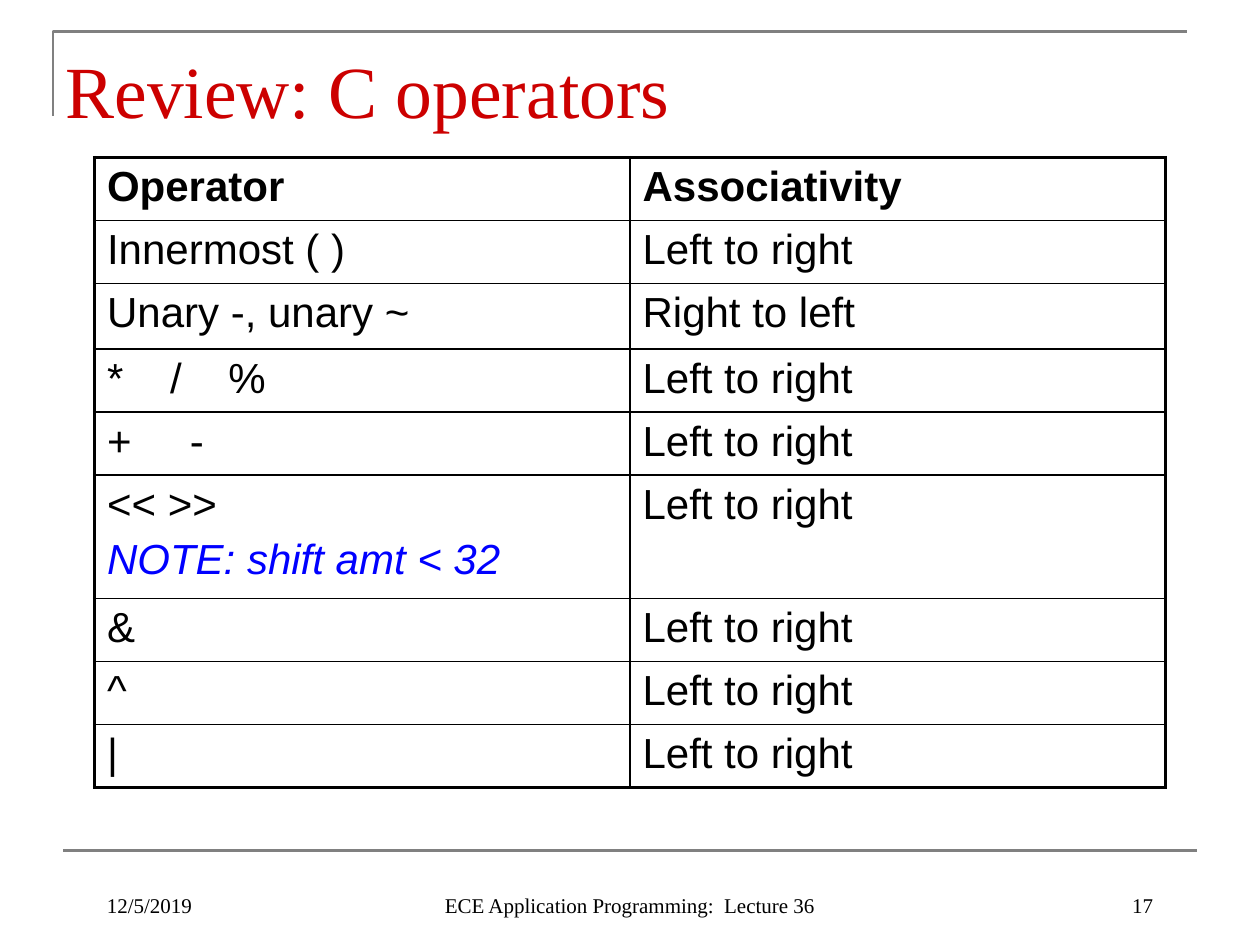
from lxml.etree import SubElement
from pptx import Presentation
from pptx.dml.color import RGBColor
from pptx.enum.shapes import MSO_CONNECTOR
from pptx.enum.text import MSO_ANCHOR, PP_ALIGN
from pptx.oxml import parse_xml
from pptx.oxml.ns import nsdecls, qn
from pptx.util import Inches, Pt

COLORS = {"title": "CC0000", "text": "000000", "note": "0000FF",
          "rule": "808080", "border": "000000"}
HEADING_FONT = "Times New Roman"
TABLE_FONT = "Arial"
OUTER_BORDER, INNER_BORDER = 2.25, 1

OPERATORS = [
    ("Operator", "Associativity"),
    ("Innermost ( )", "Left to right"),
    ("Unary -, unary ~", "Right to left"),
    ("*    /    %", "Left to right"),
    ("+     -", "Left to right"),
    ("<< >>\nNOTE: shift amt < 32", "Left to right"),
    ("&", "Left to right"),
    ("^", "Left to right"),
    ("|", "Left to right"),
]
ROW_HEIGHTS = [0.5, 0.5, 0.52, 0.5, 0.5, 0.98, 0.5, 0.5, 0.5]


def style_runs(paragraph, font_name, size, color, bold=False, italic=False):
    for run in paragraph.runs:
        font = run.font
        font.name, font.size = font_name, Pt(size)
        font.bold, font.italic = bold, italic
        font.color.rgb = RGBColor.from_string(COLORS[color])


def style_rule(rule):
    rule.line.color.rgb = RGBColor.from_string(COLORS["rule"])
    rule.line.width = Pt(1.5)


def add_header(slide, left, top, width, height):
    """Title inside a corner rule that runs down the left and along the top."""
    builder = slide.shapes.build_freeform(Inches(left), Inches(top + 0.67))
    builder.add_line_segments(
        [(Inches(left), Inches(top)), (Inches(left + width), Inches(top))],
        close=False)
    corner = builder.convert_to_shape()
    corner.fill.background()
    corner.shadow.inherit = False
    style_rule(corner)

    title = slide.shapes.title
    title.left, title.top = Inches(left), Inches(top)
    title.width, title.height = Inches(width - 0.5), Inches(height)
    title.text_frame.text = "Review: C operators"
    title.text_frame.vertical_anchor = MSO_ANCHOR.MIDDLE
    heading = title.text_frame.paragraphs[0]
    heading.alignment = PP_ALIGN.LEFT
    style_runs(heading, HEADING_FONT, 42, "title")


def set_borders(cell, widths):
    """Draw the cell borders; widths are points keyed by side L, R, T, B."""
    properties = cell._tc.get_or_add_tcPr()
    for index, (side, width) in enumerate(widths.items()):
        properties.insert(index, parse_xml(
            f'<a:ln{side} {nsdecls("a")} w="{Pt(width)}"><a:solidFill>'
            f'<a:srgbClr val="{COLORS["border"]}"/></a:solidFill></a:ln{side}>'))


def set_relative_space_before(paragraph, percent):
    spacing = SubElement(paragraph._p.get_or_add_pPr(), qn("a:spcBef"))
    SubElement(spacing, qn("a:spcPct")).set("val", str(percent * 1000))


def add_operator_table(slide, left, top, width, height):
    row_count, column_count = len(OPERATORS), len(OPERATORS[0])
    table = slide.shapes.add_table(
        row_count, column_count, Inches(left), Inches(top),
        Inches(width), Inches(height)).table
    table.first_row = table.horz_banding = False
    for column in table.columns:
        column.width = Inches(width / column_count)

    for r, (row_texts, row_height) in enumerate(zip(OPERATORS, ROW_HEIGHTS)):
        table.rows[r].height = Inches(row_height)
        for c, text in enumerate(row_texts):
            cell = table.cell(r, c)
            cell.fill.background()
            on_edge = {"L": c == 0, "R": c == column_count - 1,
                       "T": r == 0, "B": r == row_count - 1}
            set_borders(cell, {side: OUTER_BORDER if edge else INNER_BORDER
                               for side, edge in on_edge.items()})
            cell.text_frame.text = text
            for paragraph in cell.text_frame.paragraphs:
                set_relative_space_before(paragraph, 20)
                is_note = paragraph.text.startswith("NOTE")
                style_runs(paragraph, TABLE_FONT, 24,
                           "note" if is_note else "text",
                           bold=r == 0, italic=is_note)


def add_footer(slide, left, top, width, height):
    """Rule across the box, with date, lecture and page number below it."""
    rule = slide.shapes.add_connector(
        MSO_CONNECTOR.STRAIGHT, Inches(left), Inches(top),
        Inches(left + width), Inches(top))
    style_rule(rule)
    SubElement(rule._element.spPr, qn("a:effectLst"))

    inset, side_width, lecture_width, gap = 0.25, 2.08, 3.17, 0.08
    entries = [
        ("12/5/2019", left + inset, side_width, PP_ALIGN.LEFT),
        ("ECE Application Programming:  Lecture 36",
         left + (width - lecture_width) / 2, lecture_width, PP_ALIGN.CENTER),
        ("17", left + width - inset - side_width, side_width, PP_ALIGN.RIGHT),
    ]
    for text, entry_left, entry_width, alignment in entries:
        frame = slide.shapes.add_textbox(
            Inches(entry_left), Inches(top + gap),
            Inches(entry_width), Inches(height - gap)).text_frame
        frame.word_wrap = True
        frame.vertical_anchor = MSO_ANCHOR.BOTTOM
        frame.text = text
        frame.paragraphs[0].alignment = alignment
        style_runs(frame.paragraphs[0], HEADING_FONT, 12, "text")


def main():
    deck = Presentation()
    deck.slide_width, deck.slide_height = Inches(10), Inches(7.5)
    slide = deck.slides.add_slide(deck.slide_layouts.get_by_name("Title Only"))
    add_header(slide, 0.42, 0.25, 9, 0.92)
    add_operator_table(slide, 0.75, 1.25, 8.5, 5)
    add_footer(slide, 0.5, 6.75, 9, 0.58)
    deck.save("out.pptx")


if __name__ == "__main__":
    main()
